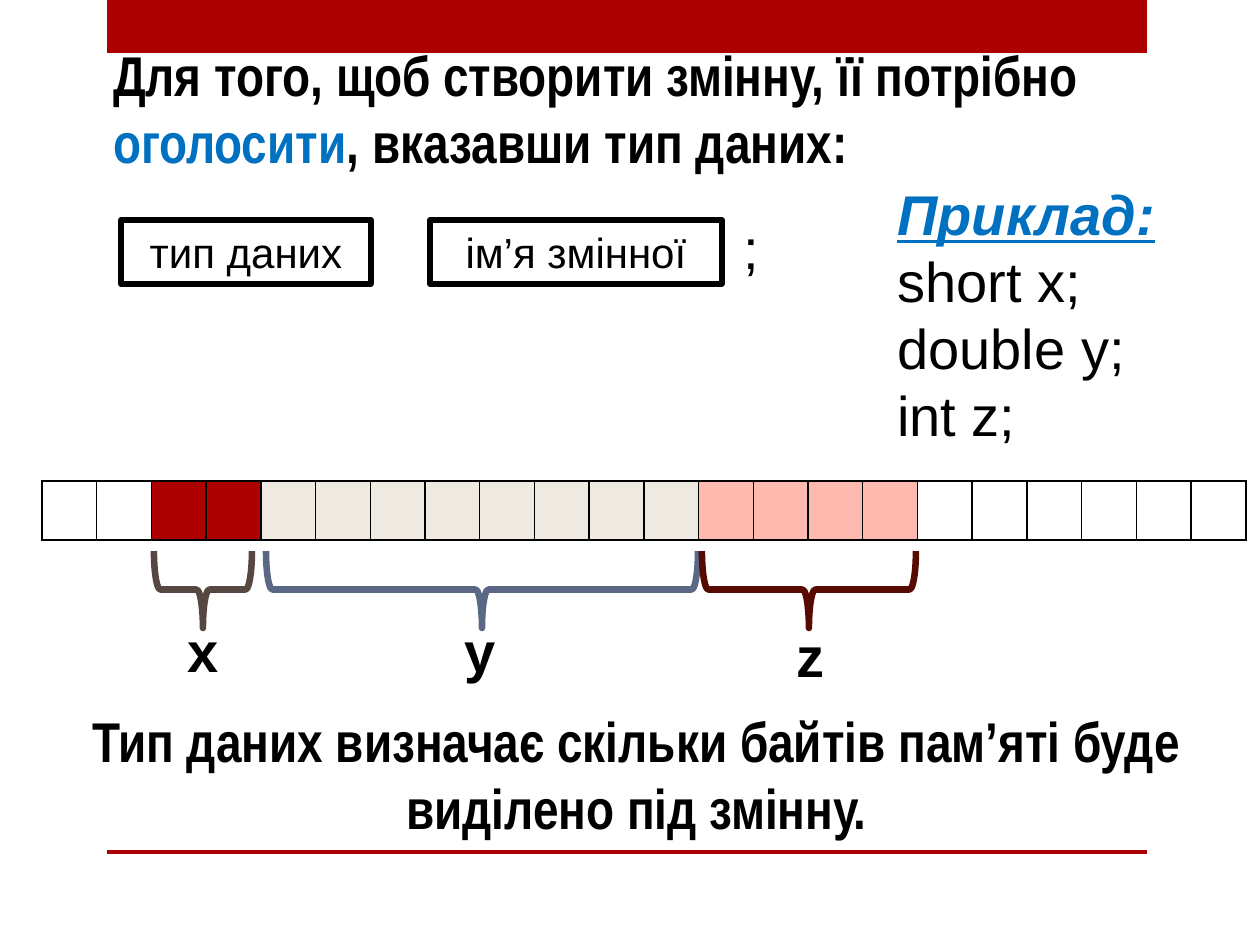
from lxml.etree import SubElement
from pptx import Presentation
from pptx.dml.color import RGBColor
from pptx.enum.shapes import MSO_SHAPE
from pptx.enum.text import MSO_ANCHOR, MSO_AUTO_SIZE, PP_ALIGN
from pptx.oxml.ns import qn
from pptx.util import Pt

EMU_PER_PX = 914400 / 126
COLOURS = {
    "black": "000000", "blue": "0070C0", "red": "AD0101", "beige": "EEEAE2",
    "pink": "FFBAB0", "brown": "564841", "slate": "5A6885", "maroon": "560A00",
}


def px(length):
    return round(length * EMU_PER_PX)


def colour(name):
    return RGBColor.from_string(COLOURS[name])


class SlideBuilder:
    body_font = "Arial"
    heading_font = "Arial Narrow"
    size = 32

    def __init__(self, slide):
        self.slide = slide

    def style(self, paragraph, font=body_font, size=size, ink="black",
              bold=False, align=PP_ALIGN.LEFT):
        paragraph.alignment = align
        paragraph.font.name = font
        paragraph.font.size = Pt(size)
        paragraph.font.bold = bold
        paragraph.font.color.rgb = colour(ink)

    def title(self, box, parts):
        """Fill the title with (text, colour) parts."""
        title = self.slide.shapes.title
        title.left, title.top, title.width, title.height = map(px, box)
        frame = title.text_frame
        frame.auto_size = MSO_AUTO_SIZE.NONE
        frame.vertical_anchor = MSO_ANCHOR.TOP
        frame.margin_left = px(19)
        paragraph = frame.paragraphs[0]
        self.style(paragraph, self.heading_font, bold=True)
        for text, ink in parts:
            run = paragraph.add_run()
            run.text = text
            run.font.color.rgb = colour(ink)

    def text(self, box, *lines, **style):
        frame = self.slide.shapes.add_textbox(*map(px, box)).text_frame
        frame.word_wrap = True
        frame.text = "\n".join(lines)
        for paragraph in frame.paragraphs:
            self.style(paragraph, **style)
        return frame

    def shape(self, kind, box, fill=None, line=None, width=0):
        shape = self.slide.shapes.add_shape(kind, *map(px, box))
        shape.shadow.inherit = False
        if fill:
            shape.fill.solid()
            shape.fill.fore_color.rgb = colour(fill)
        else:
            shape.fill.background()
        if line:
            shape.line.color.rgb = colour(line)
            shape.line.width = Pt(width)
        else:
            shape.line.fill.background()
        return shape

    def framed_label(self, box, text):
        frame = self.shape(MSO_SHAPE.RECTANGLE, box, line="black", width=3).text_frame
        frame.vertical_anchor = MSO_ANCHOR.MIDDLE
        frame.text = text
        self.style(frame.paragraphs[0], size=24, align=PP_ALIGN.CENTER)

    def brace_below(self, left, top, width, height, line):
        """Draw a brace pointing down that covers the given box once rotated."""
        shift = (width - height) / 2
        box = (left + shift, top - shift, height, width)
        self.shape(MSO_SHAPE.LEFT_BRACE, box, line=line, width=3.75).rotation = 270

    def memory_strip(self, box, blocks):
        """Draw one row of byte cells from (byte count, fill) blocks."""
        fills = [fill for count, fill in blocks for _ in range(count)]
        table = self.slide.shapes.add_table(1, len(fills), *map(px, box)).table
        table.first_row = table.horz_banding = False
        for column, cell, fill in zip(table.columns, table.rows[0].cells, fills):
            column.width = px(box[2] / len(fills))
            self.cell_borders(cell)
            if fill:
                cell.fill.solid()
                cell.fill.fore_color.rgb = colour(fill)
            else:
                cell.fill.background()

    def cell_borders(self, cell):
        properties = cell._tc.get_or_add_tcPr()
        for side in ("lnL", "lnR", "lnT", "lnB"):
            border = SubElement(properties, qn(f"a:{side}"), w=str(Pt(1)))
            solid = SubElement(border, qn("a:solidFill"))
            SubElement(solid, qn("a:srgbClr"), val=COLOURS["black"])


def main():
    presentation = Presentation()
    presentation.slide_width, presentation.slide_height = px(1260), px(945)
    title_only = presentation.slide_layouts[5]
    builder = SlideBuilder(presentation.slides.add_slide(title_only))

    for top, height in ((0, 53), (850, 4)):
        builder.shape(MSO_SHAPE.RECTANGLE, (107, top, 1040, height), fill="red")

    builder.title((94, 34, 1179, 149), [
        ("Для того, щоб створити змінну, її потрібно ", "black"),
        ("оголосити", "blue"),
        (", вказавши тип даних:", "black"),
    ])

    builder.framed_label((121, 220, 250, 64), "тип даних")
    builder.framed_label((430, 220, 292, 64), "ім’я змінної")
    builder.text((731, 207, 292, 81), ";")

    example = builder.text((885, 173, 372, 285),
                           "Приклад:", "short x;", "double y;", "int z;")
    heading = example.paragraphs[0]
    builder.style(heading, ink="blue", bold=True)
    heading.font.italic = heading.font.underline = True

    builder.memory_strip((42, 481, 1204, 59), [
        (2, None), (2, "red"), (8, "beige"), (4, "pink"), (6, None)])

    variables = [
        # name, label left, label top, brace left, brace width, brace colour
        ("x", 175, 610, 154, 98, "brown"),
        ("y", 452, 610, 266, 432, "slate"),
        ("z", 784, 615, 702, 214, "maroon"),
    ]
    for name, left, top, brace_left, brace_width, line in variables:
        builder.text((left, top, 63, 81), name, bold=True)
        builder.brace_below(brace_left, 551, brace_width, 77, line)

    conclusion = builder.text(
        (11, 700, 1245, 149),
        "Тип даних визначає скільки байтів пам’яті буде виділено під змінну.",
        font=builder.heading_font, bold=True, align=PP_ALIGN.CENTER)
    conclusion.margin_left = px(19)

    presentation.save("out.pptx")


if __name__ == "__main__":
    main()
